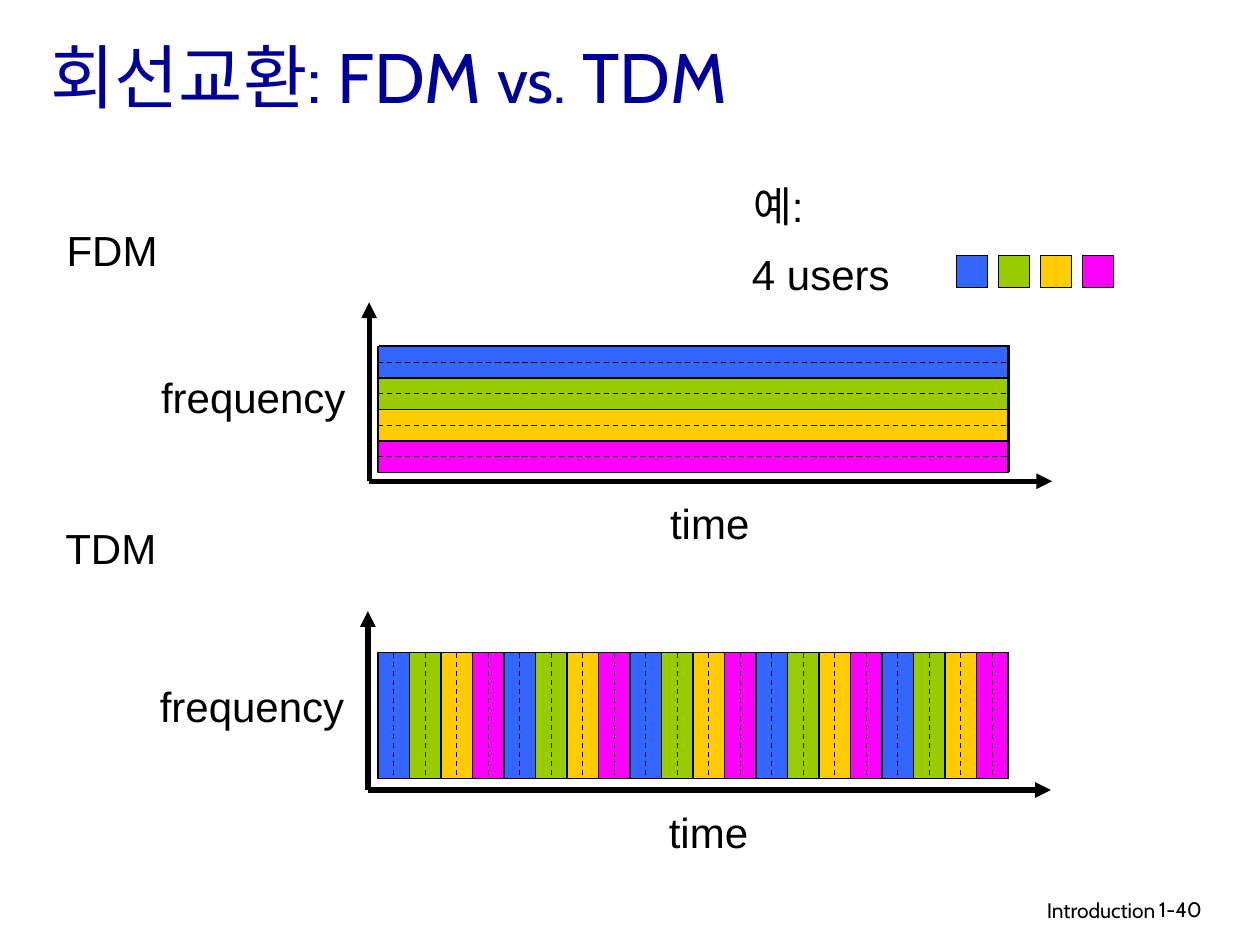
from pptx import Presentation
from pptx.util import Inches, Pt
from pptx.dml.color import RGBColor
from pptx.enum.dml import MSO_LINE
from pptx.enum.shapes import MSO_SHAPE, MSO_CONNECTOR
from pptx.enum.text import PP_ALIGN, MSO_ANCHOR
from pptx.oxml.ns import qn
from lxml.etree import SubElement

COLORS = {"title": "000099", "black": "000000", "panel": "00CC99"}
USERS = ["3366FF", "99CC00", "FFCC00", "FF00FF"]

prs = Presentation()
prs.slide_width, prs.slide_height = Inches(10), Inches(7.5)
s = prs.slides.add_slide(prs.slide_layouts[6])


def add_text(x, y, w, h, runs, font="Arial", color="black", wrap=False):
    tf = s.shapes.add_textbox(Inches(x), Inches(y), Inches(w), Inches(h)).text_frame
    tf.word_wrap = wrap
    for text, size in runs:
        r = tf.paragraphs[0].add_run()
        r.text = text
        r.font.size = Pt(size)
        r.font.name = font
        r.font.color.rgb = RGBColor.from_string(COLORS[color])
    return tf


def add_line(x1, y1, x2, y2, width=0.75, dash=False, arrow=False):
    line = s.shapes.add_connector(
        MSO_CONNECTOR.STRAIGHT, Inches(x1), Inches(y1), Inches(x2), Inches(y2))
    line.line.color.rgb = RGBColor.from_string(COLORS["black"])
    line.line.width = Pt(width)
    if dash:
        line.line.dash_style = MSO_LINE.DASH
    ln = line.line._get_or_add_ln()
    if arrow:
        SubElement(ln, qn("a:tailEnd"), type="triangle")
    SubElement(line._element.spPr, qn("a:effectLst"))
    return line


# Title and footer
tf = add_text(0.3, 0.08, 9.26, 1.04, [("회선교환: FDM ", 40), ("vs.", 36), (" TDM", 40)],
              "Cabin", "title", True)
tf.vertical_anchor = MSO_ANCHOR.MIDDLE
tf = add_text(6.1, 7.07, 3.17, 0.31, [("Introduction", 12)], "Cabin", wrap=True)
tf.paragraphs[0].alignment = PP_ALIGN.RIGHT
add_text(9.1, 7.07, 0.74, 0.3, [("1-40", 12)], "Cabin", wrap=True)

# Axes and labels of both diagrams
for name, name_y, x, y in [("FDM", 1.73, 2.93, 3.82), ("TDM", 4.1, 2.92, 6.27)]:
    add_text(x - 2.5, name_y, 0.92, 0.5, [(name, 24)])
    add_text(x - 1.75, y - 0.92, 1.67, 0.5, [("frequency", 24)])
    add_text(x + 2.29, y + 0.08, 0.83, 0.5, [("time", 24)])
    add_line(x, y, x, y - 1.42, 3, arrow=True)
    add_line(x, y, x + 5.42, y, 3, arrow=True)

# Legend
add_text(5.88, 1.38, 0.63, 0.51, [("예:", 24)])
add_text(5.87, 1.92, 1.3, 0.5, [("4 users", 24)])

# Rectangles: panels, legend squares, frequency bands, time slots
LEFT, WIDTH, FDM_TOP, TDM_TOP, STEP = 3, 5, 2.75, 5.18, 0.25
SLOTS = 20
rects = [(3.01, 2.74, WIDTH, 1, COLORS["panel"]), (LEFT, TDM_TOP, WIDTH, 1, COLORS["panel"])]
rects += [(7.59 + i / 3, 2.03, STEP, STEP, c) for i, c in enumerate(USERS)]
rects += [(LEFT, FDM_TOP + i * STEP, WIDTH, STEP, c) for i, c in enumerate(USERS)]
rects += [(LEFT + i * STEP, TDM_TOP, STEP, 1, USERS[i % 4]) for i in range(SLOTS)]
shapes = []
for x, y, w, h, color in rects:
    sp = s.shapes.add_shape(MSO_SHAPE.RECTANGLE, Inches(x), Inches(y), Inches(w), Inches(h))
    sp.shadow.inherit = False
    sp.fill.solid()
    sp.fill.fore_color.rgb = RGBColor.from_string(color)
    sp.line.color.rgb = RGBColor.from_string(COLORS["black"])
    sp.line.width = Pt(0.75)
    shapes.append(sp)
bands, slots = shapes[-SLOTS - 4:-SLOTS], shapes[-SLOTS:]

# Solid dividers
for i in range(1, 4):
    y = FDM_TOP + i * STEP
    add_line(LEFT, y, LEFT + WIDTH, y)
for i in range(1, SLOTS):
    x = LEFT + i * STEP
    add_line(x, TDM_TOP, x, TDM_TOP + 1)

# Dashed centre lines: left to right in bands, top to bottom in slots
for group, start, end in [(bands, 1, 3), (slots, 0, 2)]:
    for sp in group:
        line = add_line(0, 0, 1, 1, dash=True)
        line.begin_connect(sp, start)
        line.end_connect(sp, end)

prs.save("out.pptx")
